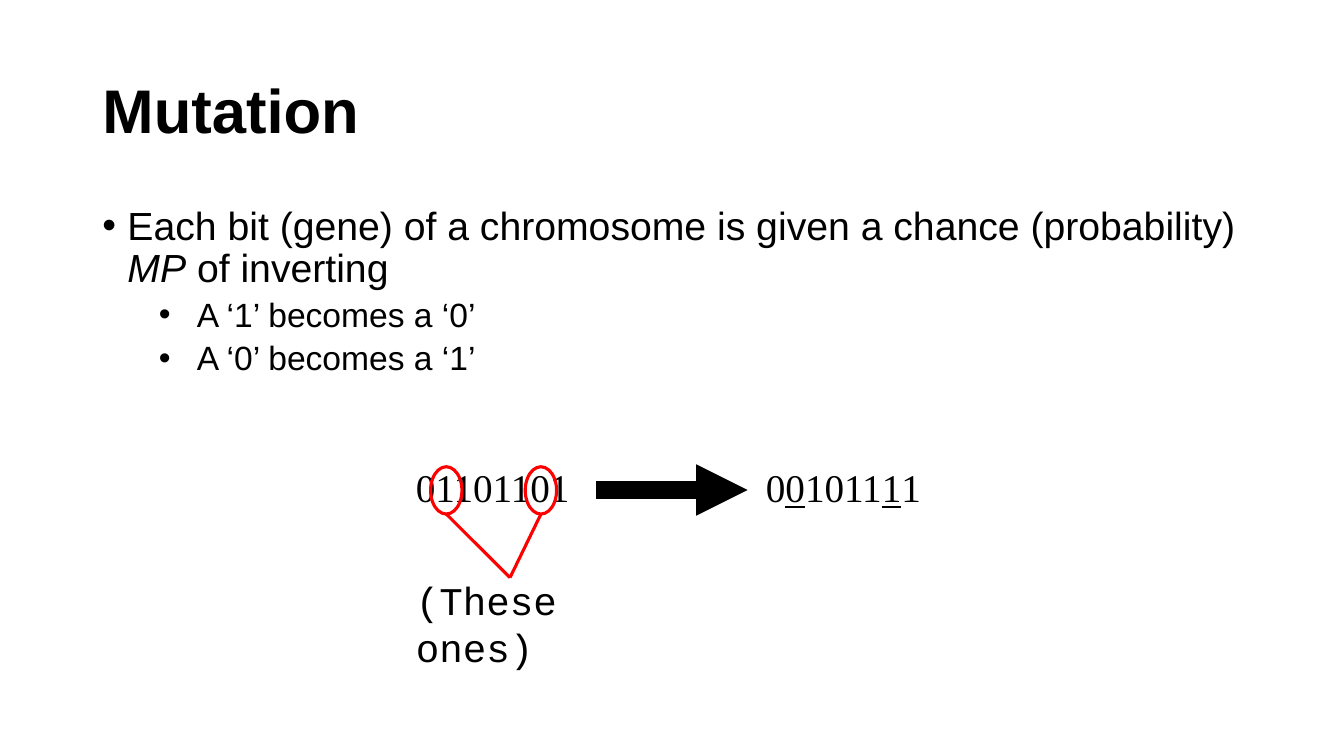
from lxml import etree
from pptx import Presentation
from pptx.dml.color import RGBColor
from pptx.enum.shapes import MSO_CONNECTOR as CONN, MSO_SHAPE as SHAPE
from pptx.enum.text import MSO_ANCHOR as ANCHOR, MSO_AUTO_SIZE as FIT, PP_ALIGN as ALIGN
from pptx.oxml.ns import qn
from pptx.util import Pt

BLACK = RGBColor(0x00, 0x00, 0x00)
RED = RGBColor(0xFF, 0x00, 0x00)


class SlideBuilder:
    heading_font = "Arial"
    bits_font = "Times New Roman"
    note_font = "Courier New"
    size = 28
    mark_width = 2.25

    def __init__(self, prs):
        self.slide = prs.slides.add_slide(prs.slide_layouts[5])
        self.shapes = self.slide.shapes

    def style_run(self, run, font, size):
        run.font.name = font
        run.font.size = Pt(size)
        run.font.color.rgb = BLACK

    def add_runs(self, paragraph, parts, font, size):
        for text, emphasis in parts:
            run = paragraph.add_run()
            run.text = text
            self.style_run(run, font, size)
            if emphasis:
                setattr(run.font, emphasis, True)

    def title(self, text, left, top, width, height):
        heading = self.shapes.title
        heading.left, heading.top = Pt(left), Pt(top)
        heading.width, heading.height = Pt(width), Pt(height)
        frame = heading.text_frame
        frame.text = text
        frame.auto_size = FIT.NONE
        frame.vertical_anchor = ANCHOR.MIDDLE
        paragraph = frame.paragraphs[0]
        paragraph.alignment = ALIGN.LEFT
        paragraph.line_spacing = 0.9
        self.style_run(paragraph.runs[0], self.heading_font, 44)
        paragraph.runs[0].font.bold = True

    def text_box(self, left, top, width, height, wrap):
        box = self.shapes.add_textbox(Pt(left), Pt(top), Pt(width), Pt(height))
        box.text_frame.word_wrap = wrap
        return box.text_frame

    def label(self, parts, font, left, top, width, height=41, wrap=False):
        frame = self.text_box(left, top, width, height, wrap)
        self.add_runs(frame.paragraphs[0], parts, font, self.size)

    def bullets(self, items, left, top, width, height):
        frame = self.text_box(left, top, width, height, True)
        for index, (level, parts) in enumerate(items):
            paragraph = frame.add_paragraph() if index else frame.paragraphs[0]
            paragraph.level = level
            paragraph.line_spacing = 0.9
            if index:
                paragraph.space_before = Pt(5)
            margin, hang, size = ((18, 18, 28), (67.5, 27, 24))[level]
            props = paragraph._p.get_or_add_pPr()
            props.set("marL", str(Pt(margin)))
            props.set("indent", str(-Pt(hang)))
            etree.SubElement(props, qn("a:buFont")).set("typeface", self.heading_font)
            etree.SubElement(props, qn("a:buChar")).set("char", "•")
            self.add_runs(paragraph, parts, self.heading_font, size)

    def ring(self, left, top, width, height):
        ring = self.shapes.add_shape(SHAPE.OVAL, Pt(left), Pt(top), Pt(width), Pt(height))
        ring.shadow.inherit = False
        ring.fill.background()
        ring.line.color.rgb = RED
        ring.line.width = Pt(self.mark_width)

    def line(self, start, end, color, width, arrow=False):
        line = self.shapes.add_connector(CONN.STRAIGHT, *map(Pt, start + end))
        line.line.color.rgb = color
        line.line.width = Pt(width)
        if arrow:
            etree.SubElement(line.line._get_or_add_ln(), qn("a:tailEnd")).set("type", "triangle")
        etree.SubElement(line._element.spPr, qn("a:effectLst"))


def main():
    prs = Presentation()
    prs.slide_width, prs.slide_height = Pt(960), Pt(540)
    mutation = SlideBuilder(prs)
    mutation.title("Mutation", 66, 29, 828, 104)
    mutation.bullets([
        (0, [("Each bit (gene) of a chromosome is given a chance (probability) ", None),
             ("MP", "italic"), (" of inverting", None)]),
        (1, [("A ‘1’ becomes a ‘0’", None)]),
        (1, [("A ‘0’ becomes a ‘1’", None)]),
    ], 66, 144, 828, 343)

    bits_left, bits_top, bits_width = 290, 327.6, 126.7
    mutation.label([("01101101", None)], mutation.bits_font, bits_left, bits_top, bits_width)
    mutation.line((426, 350), (534, 350), BLACK, 12.25, arrow=True)
    mutation.label([("0", None), ("0", "underline"), ("1011", None), ("1", "underline"), ("1", None)],
                   mutation.bits_font, 540, bits_top, bits_width)
    mutation.label([("(These ones)", None)], mutation.note_font, bits_left, 408, 181.4, wrap=True)

    ring_top, ring_width, ring_height = 333.4, 22.4, 33.8
    meeting_point = (364.3, 412.6)
    for flipped_bit in (318.8, 386.4):
        mutation.ring(flipped_bit - ring_width / 2, ring_top, ring_width, ring_height)
        mutation.line((flipped_bit, ring_top + ring_height), meeting_point, RED, mutation.mark_width)
    prs.save("out.pptx")


if __name__ == "__main__":
    main()
